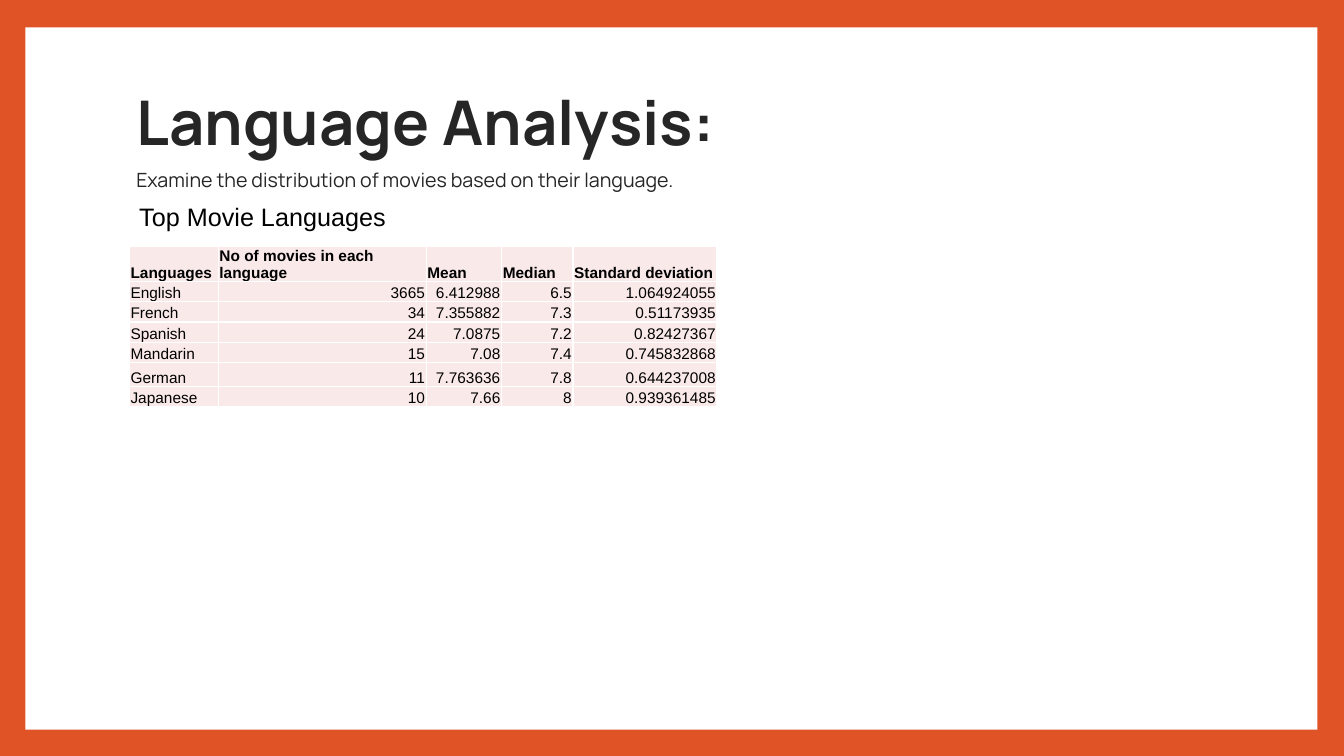
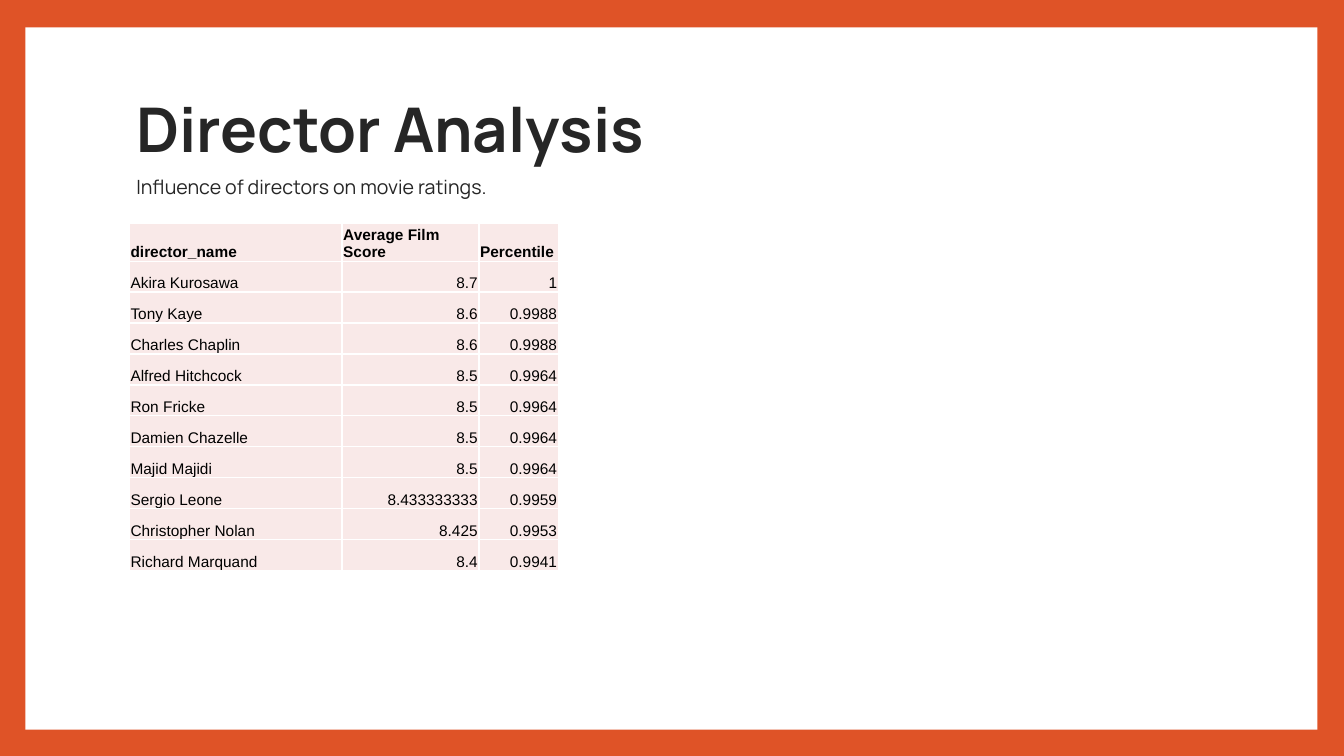
from lxml import etree
from pptx import Presentation
from pptx.dml.color import RGBColor
from pptx.enum import shapes, text
from pptx.oxml import ns
from pptx.util import Cm, Pt

ORANGE = RGBColor(0xDF, 0x53, 0x27)
WHITE = RGBColor(0xFF, 0xFF, 0xFF)
PINK = RGBColor(0xF9, 0xE9, 0xE8)
CHARCOAL = RGBColor(0x26, 0x26, 0x26)
BLACK = RGBColor(0, 0, 0)

TITLE_FONT, BODY_FONT = "Manrope", "Arial"
LEFT = 3.26

LANGUAGES = [
    ("Languages", "No of movies in each language", "Mean", "Median", "Standard deviation"),
    ("English", "3665", "6.412988", "6.5", "1.064924055"),
    ("French", "34", "7.355882", "7.3", "0.51173935"),
    ("Spanish", "24", "7.0875", "7.2", "0.82427367"),
    ("Mandarin", "15", "7.08", "7.4", "0.745832868"),
    ("German", "11", "7.763636", "7.8", "0.644237008"),
    ("Japanese", "10", "7.66", "8", "0.939361485"),
]
DIRECTORS = [
    ("director_name", "Average Film Score", "Percentile"),
    ("Akira Kurosawa", "8.7", "1"),
    ("Tony Kaye", "8.6", "0.9988"),
    ("Charles Chaplin", "8.6", "0.9988"),
    ("Alfred Hitchcock", "8.5", "0.9964"),
    ("Ron Fricke", "8.5", "0.9964"),
    ("Damien Chazelle", "8.5", "0.9964"),
    ("Majid Majidi", "8.5", "0.9964"),
    ("Sergio Leone", "8.433333333", "0.9959"),
    ("Christopher Nolan", "8.425", "0.9953"),
    ("Richard Marquand", "8.4", "0.9941"),
]


def add_text(p, content, size=11, font=BODY_FONT, color=BLACK, bold=False,
             align=text.PP_ALIGN.LEFT):
    """Add a formatted run to a paragraph."""
    p.alignment = align
    r = p.add_run()
    r.text = content
    r.font.size, r.font.name, r.font.bold = Pt(size), font, bold
    r.font.color.rgb = color


def add_panel(slide):
    """White panel behind everything, framed by the background."""
    sp = slide.shapes.add_shape(shapes.MSO_SHAPE.RECTANGLE,
                                Cm(0.64), Cm(0.69), Cm(32.56), Cm(17.7))
    sp.shadow.inherit = False
    sp.fill.solid()
    sp.fill.fore_color.rgb = WHITE
    sp.line.fill.background()
    slide.shapes.element.insert(2, sp.element)


def add_analysis_slide(prs, title, subtitle, top):
    """Title-only slide with a heading and a smaller line clear below it."""
    slide = prs.slides.add_slide(prs.slide_layouts[5])
    add_panel(slide)
    sp = slide.shapes.title
    sp.left, sp.top, sp.width, sp.height = Cm(3.18), Cm(top), Cm(27.43), Cm(3.76)
    tf = sp.text_frame
    tf.auto_size = text.MSO_AUTO_SIZE.NONE
    tf.vertical_anchor = text.MSO_ANCHOR.MIDDLE
    heading, subheading = tf.paragraphs[0], tf.add_paragraph()
    heading.line_spacing = subheading.line_spacing = 0.9
    heading.space_before, subheading.space_before = Pt(0), Pt(8)
    add_text(heading, title, size=44, font=TITLE_FONT, color=CHARCOAL, bold=True)
    add_text(subheading, subtitle, size=14, font=TITLE_FONT, color=CHARCOAL)
    return slide


def add_caption(slide, content, left, top, width, height):
    tf = slide.shapes.add_textbox(Cm(left), Cm(top), Cm(width), Cm(height)).text_frame
    tf.word_wrap = True
    add_text(tf.paragraphs[0], content, size=18)


def set_borders(cell):
    """Thin white line on all four sides; borders come before the fill."""
    tc_pr = cell._tc.get_or_add_tcPr()
    for i, side in enumerate(("lnL", "lnR", "lnT", "lnB")):
        ln = etree.Element(ns.qn("a:" + side), w=str(Pt(1)))
        fill = etree.SubElement(ln, ns.qn("a:solidFill"))
        etree.SubElement(fill, ns.qn("a:srgbClr"), val=str(WHITE))
        tc_pr.insert(i, ln)


def add_data_table(slide, data, left, top, widths, heights):
    """Pink table: bold header, names to the left, numbers to the right."""
    table = slide.shapes.add_table(len(data), len(widths), Cm(left), Cm(top),
                                   Cm(sum(widths)), Cm(sum(heights))).table
    table.first_row = table.horz_banding = False
    for column, width in zip(table.columns, widths):
        column.width = Cm(width)
    for i, (row, height) in enumerate(zip(data, heights)):
        table.rows[i].height = Cm(height)
        for j, content in enumerate(row):
            cell = table.cell(i, j)
            cell.margin_left = cell.margin_right = cell.margin_top = Cm(0.03)
            cell.margin_bottom = 0
            cell.vertical_anchor = text.MSO_ANCHOR.BOTTOM
            cell.fill.solid()
            cell.fill.fore_color.rgb = PINK
            set_borders(cell)
            numeric = i > 0 and j > 0
            add_text(cell.text_frame.paragraphs[0], content, bold=i == 0,
                     align=text.PP_ALIGN.RIGHT if numeric else text.PP_ALIGN.LEFT)


def main():
    prs = Presentation()
    prs.slide_width, prs.slide_height = Cm(33.87), Cm(19.05)
    background = prs.slide_master.background.fill
    background.solid()
    background.fore_color.rgb = ORANGE

    # Languages
    slide = add_analysis_slide(
        prs, "Language Analysis:",
        "Examine the distribution of movies based on their language.", top=1.7)
    add_data_table(slide, LANGUAGES, LEFT, 6.2, [2.24, 5.24, 1.9, 1.8, 3.63],
                   [0.86] + [0.51] * 4 + [0.61, 0.51])
    add_caption(slide, "Top Movie Languages", LEFT, 4.94, 15.14, 1.02)

    # Directors
    slide = add_analysis_slide(
        prs, "Director Analysis", "Influence of directors on movie ratings.", top=1.88)
    add_data_table(slide, DIRECTORS, LEFT, 5.64, [5.36, 3.45, 2],
                   [0.94] + [0.78] * 10)

    prs.save("out.pptx")


if __name__ == "__main__":
    main()
